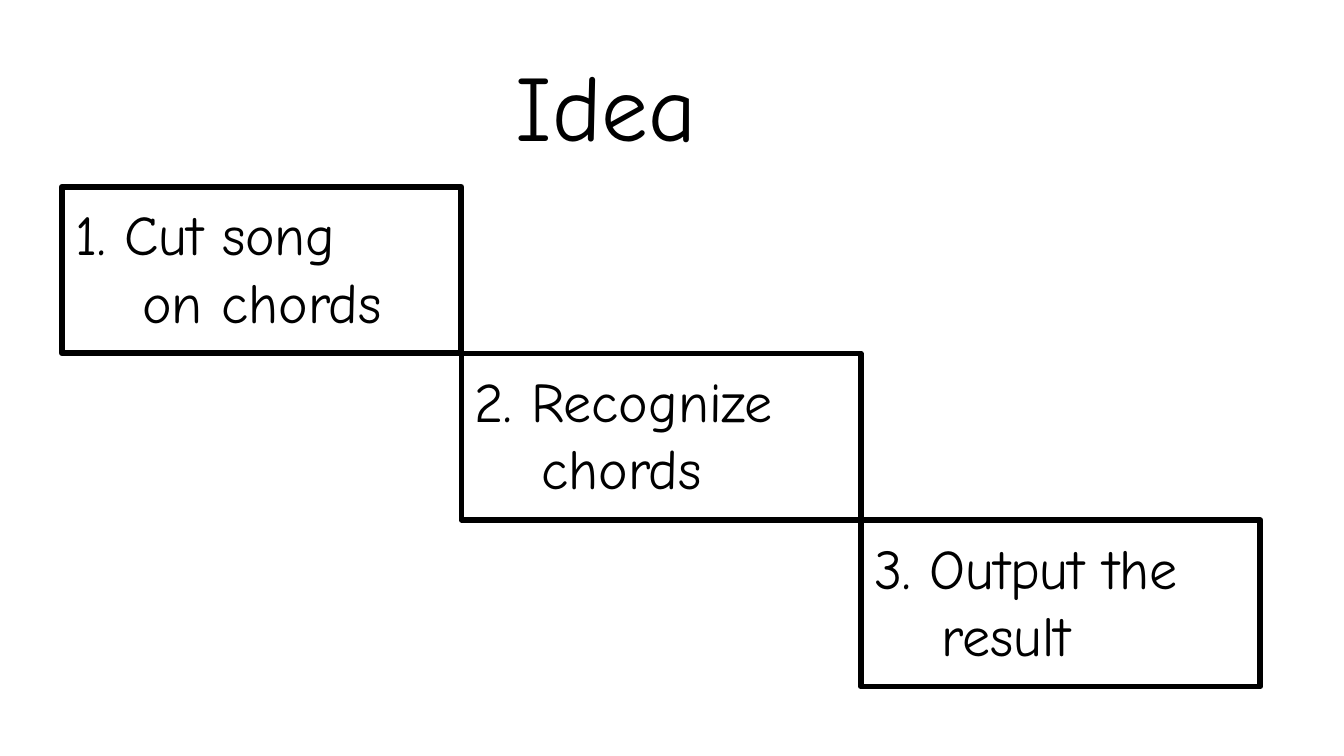
from dataclasses import dataclass

import pptx
import pptx.dml.color
import pptx.enum.shapes
import pptx.enum.text
import pptx.util
from pptx.util import Cm


@dataclass(frozen=True)
class Theme:
    font: str = "Comic Neue"
    ink: pptx.dml.color.RGBColor = pptx.dml.color.RGBColor(0, 0, 0)
    title_size: int = 50
    step_size: int = 30
    border: int = 3


THEME = Theme()
TITLE_ONLY_LAYOUT = 5
STEP_LEFT, STEP_TOP = 1.17, 3.53
STEP_WIDTH, STEP_HEIGHT = 7.55, 3.15
INSET = Cm(0.25)
SECOND_LINE_INDENT = Cm(1.27)

STEPS = [
    ("1. Cut song", "on chords"),
    ("2. Recognize", "chords"),
    ("3. Output the", "result"),
]


def prepare_frame(frame):
    frame.word_wrap = True
    frame.auto_size = pptx.enum.text.MSO_AUTO_SIZE.NONE
    frame.vertical_anchor = pptx.enum.text.MSO_ANCHOR.TOP
    frame.margin_left = frame.margin_right = INSET
    frame.margin_top = frame.margin_bottom = INSET


def format_paragraph(paragraph, size, alignment):
    paragraph.alignment = alignment
    for run in paragraph.runs:
        run.font.name = THEME.font
        run.font.size = pptx.util.Pt(size)
        run.font.color.rgb = THEME.ink


def set_title(slide, wording):
    title = slide.shapes.title
    title.left, title.top = Cm(9.5), Cm(0.66)
    title.width, title.height = Cm(6.02), Cm(3.43)
    prepare_frame(title.text_frame)
    title.text_frame.text = wording
    format_paragraph(title.text_frame.paragraphs[0], THEME.title_size,
                     pptx.enum.text.PP_ALIGN.LEFT)


def add_step(slide, index, lines):
    """Add an outlined box whose corner meets that of the previous step."""
    step = slide.shapes.add_shape(
        pptx.enum.shapes.MSO_SHAPE.RECTANGLE,
        Cm(STEP_LEFT + index * STEP_WIDTH),
        Cm(STEP_TOP + index * STEP_HEIGHT),
        Cm(STEP_WIDTH), Cm(STEP_HEIGHT))
    step.shadow.inherit = False
    step.fill.background()
    step.line.color.rgb = THEME.ink
    step.line.width = pptx.util.Pt(THEME.border)

    prepare_frame(step.text_frame)
    step.text_frame.text = "\n".join(lines)
    for paragraph in step.text_frame.paragraphs:
        format_paragraph(paragraph, THEME.step_size,
                         pptx.enum.text.PP_ALIGN.JUSTIFY)
    second_line = step.text_frame.paragraphs[1]
    second_line._p.get_or_add_pPr().set("indent", str(SECOND_LINE_INDENT))


def main():
    presentation = pptx.Presentation()
    presentation.slide_width = Cm(25.4)
    presentation.slide_height = Cm(14.29)
    layout = presentation.slide_layouts[TITLE_ONLY_LAYOUT]
    slide = presentation.slides.add_slide(layout)

    set_title(slide, "Idea")
    for index, lines in enumerate(STEPS):
        add_step(slide, index, lines)

    presentation.save("out.pptx")


if __name__ == "__main__":
    main()
